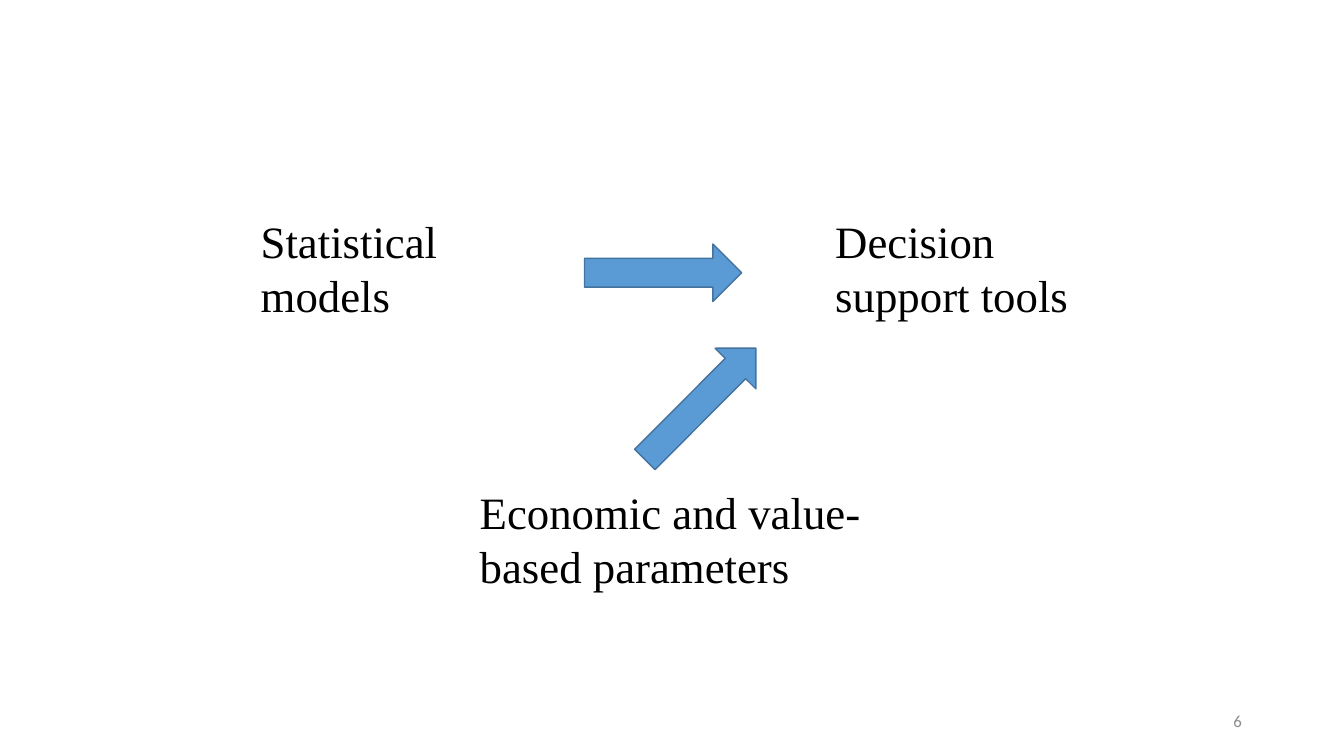
import pptx
import pptx.dml.color
import pptx.enum.shapes
import pptx.enum.text
import pptx.util

Cm, Pt = pptx.util.Cm, pptx.util.Pt
RGBColor = pptx.dml.color.RGBColor
ANCHOR = pptx.enum.text.MSO_ANCHOR
ALIGN = pptx.enum.text.PP_ALIGN

BLACK = RGBColor(0x00, 0x00, 0x00)
GREY = RGBColor(0x8C, 0x8C, 0x8C)
BLUE = RGBColor(0x5B, 0x9B, 0xD5)
DARK_BLUE = RGBColor(0x43, 0x73, 0x9E)


def apply_format(target, values):
    for name, value in values.items():
        setattr(target, name, value)


class ModelSlide:
    """Holds the style and the current slide."""

    LABEL_FONT = {"name": "Times New Roman", "size": Pt(32)}
    NUMBER_FONT = {"name": "Calibri", "size": Pt(12)}
    ARROW_SIZE = (Cm(3.96), Cm(1.45))
    LABEL_HEIGHT = 3

    def __init__(self, deck):
        self.slide = deck.slides.add_slide(deck.slide_layouts[6])

    def text(self, wording, left, top, width, height, font, color,
             anchor=ANCHOR.TOP, align=ALIGN.LEFT):
        box = self.slide.shapes.add_textbox(
            Cm(left), Cm(top), Cm(width), Cm(height))
        apply_format(box.text_frame,
                     {"word_wrap": True, "vertical_anchor": anchor})
        paragraph = box.text_frame.paragraphs[0]
        paragraph.alignment = align
        run = paragraph.add_run()
        run.text = wording
        apply_format(run.font, font)
        run.font.color.rgb = color

    def label(self, wording, left, top, width=7.62):
        self.text(wording, left, top, width, self.LABEL_HEIGHT,
                  self.LABEL_FONT, BLACK)

    def number(self, wording):
        self.text(wording, 23.93, 17.65, 7.62, 1.02, self.NUMBER_FONT, GREY,
                  ANCHOR.MIDDLE, ALIGN.RIGHT)

    def arrow(self, left, top, rotation=0):
        arrow = self.slide.shapes.add_shape(
            pptx.enum.shapes.MSO_SHAPE.RIGHT_ARROW,
            Cm(left), Cm(top), *self.ARROW_SIZE)
        arrow.rotation = rotation
        arrow.shadow.inherit = False
        arrow.fill.solid()
        arrow.fill.fore_color.rgb = BLUE
        arrow.line.color.rgb = DARK_BLUE
        arrow.line.width = Pt(1)


def main():
    deck = pptx.Presentation()
    apply_format(deck, {"slide_width": Cm(33.87), "slide_height": Cm(19.05)})
    page = ModelSlide(deck)

    # Slide number
    page.number("6")

    # Models lead to tools
    top_row = 5.26
    page.label("Statistical models", 6.32, top_row)
    page.arrow(14.73, 6.15)
    page.label("Decision support tools", 20.8, top_row)

    # Parameters feed in from below
    page.label("Economic and value-based parameters", 11.84, 12.09, 10.74)
    page.arrow(15.67, 9.45, rotation=314.9)

    deck.save("out.pptx")


if __name__ == "__main__":
    main()
